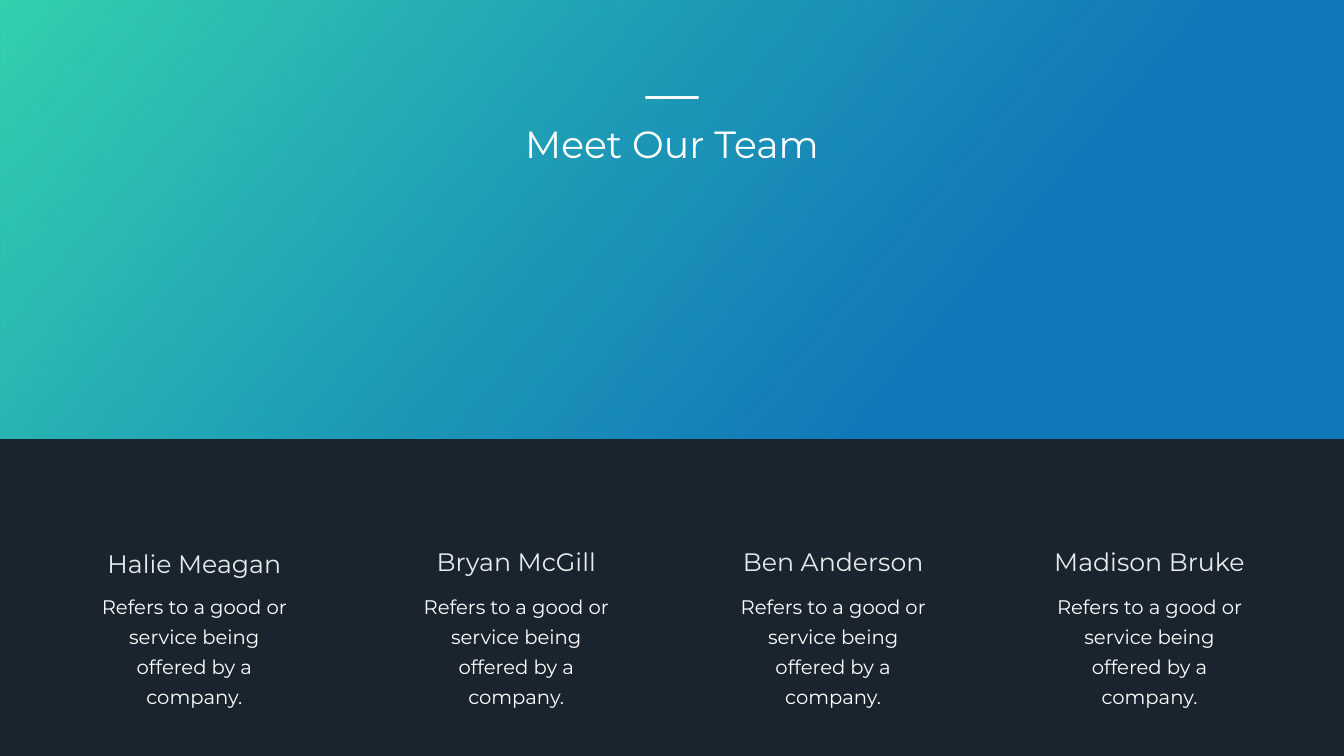
from dataclasses import dataclass

from lxml import etree
from pptx import Presentation
from pptx.dml.color import RGBColor
from pptx.enum.shapes import MSO_SHAPE
from pptx.enum.text import MSO_AUTO_SIZE, PP_ALIGN
from pptx.oxml.ns import qn
from pptx.shapes.autoshape import Shape
from pptx.slide import Slide
from pptx.text.text import _Paragraph
from pptx.util import Cm, Length, Pt


@dataclass(frozen=True)
class Theme:
    font: str = "Montserrat"
    night: RGBColor = RGBColor(0x19, 0x24, 0x2F)
    green: RGBColor = RGBColor(0x33, 0xD1, 0xAD)
    blue: RGBColor = RGBColor(0x0F, 0x8B, 0xDA)
    white: RGBColor = RGBColor(0xFF, 0xFF, 0xFF)
    mist: RGBColor = RGBColor(0xE6, 0xEC, 0xED)
    title_size: Length = Pt(54)
    name_size: Length = Pt(36)
    role_size: Length = Pt(28)
    role_leading: Length = Pt(43)


@dataclass(frozen=True)
class Member:
    name: str
    center: float
    name_top: float = 27.41


THEME = Theme()
SLIDE_WIDTH, SLIDE_HEIGHT = 67.72, 38.1
ROLE = "Refers to a good or service being offered by a company."
TEAM = [
    Member("Halie Meagan", 9.79, 27.48),
    Member("Bryan McGill", 26.01),
    Member("Ben Anderson", 41.98),
    Member("Madison Bruke", 57.92),
]


def add_bar(slide: Slide, left: float, top: float, width: float, height: float) -> Shape:
    """Add a borderless white rectangle, measured in centimetres."""
    bar = slide.shapes.add_shape(MSO_SHAPE.RECTANGLE, Cm(left), Cm(top), Cm(width), Cm(height))
    bar.shadow.inherit = False
    bar.line.fill.background()
    bar.fill.solid()
    bar.fill.fore_color.rgb = THEME.white
    return bar


def add_banner(slide: Slide) -> None:
    """Add the green to translucent blue band across the top."""
    banner = add_bar(slide, 0, 0, SLIDE_WIDTH, 22.12)
    banner.fill.gradient()
    banner.fill.gradient_angle = 320
    start, end = banner.fill.gradient_stops
    start.position, start.color.rgb = 0, THEME.green
    end.position, end.color.rgb = 0.73, THEME.blue
    blue_stop = banner.element.spPr.findall(".//" + qn("a:srgbClr"))[-1]
    etree.SubElement(blue_stop, qn("a:alpha"), val="80000")


def add_label(slide: Slide, text: str, center: float, top: float, width: float, height: float,
              size: Length, color: RGBColor, wrap: bool = True,
              insets: tuple[float, float] = (0.25, 0.13)) -> _Paragraph:
    """Add centred text around a vertical axis and return its paragraph."""
    label = slide.shapes.add_textbox(Cm(center - width / 2), Cm(top), Cm(width), Cm(height))
    frame = label.text_frame
    frame.word_wrap = wrap
    frame.auto_size = MSO_AUTO_SIZE.SHAPE_TO_FIT_TEXT
    frame.margin_left = frame.margin_right = Cm(insets[0])
    frame.margin_top = frame.margin_bottom = Cm(insets[1])
    paragraph = frame.paragraphs[0]
    paragraph.text = text
    paragraph.alignment = PP_ALIGN.CENTER
    paragraph.font.name = THEME.font
    paragraph.font.size = size
    paragraph.font.color.rgb = color
    return paragraph


def add_member(slide: Slide, member: Member) -> None:
    """Add a team member's name with the role below it."""
    add_label(slide, member.name, member.center, member.name_top, 10.4, 1.8,
              THEME.name_size, THEME.mist)
    role = add_label(slide, ROLE, member.center, 29.34, 11.46, 5.08,
                     THEME.role_size, THEME.white, insets=(0.61, 0.3))
    role.line_spacing = THEME.role_leading


def main() -> None:
    """Build the team slide and save it."""
    deck = Presentation()
    deck.slide_width, deck.slide_height = Cm(SLIDE_WIDTH), Cm(SLIDE_HEIGHT)
    slide = deck.slides.add_slide(deck.slide_layouts[6])
    slide.background.fill.solid()
    slide.background.fill.fore_color.rgb = THEME.night

    add_banner(slide)
    middle = SLIDE_WIDTH / 2
    add_label(slide, "Meet Our Team", middle, 5.94, 15.57, 2.57,
              THEME.title_size, THEME.white, wrap=False)
    rule_width = 2.69
    add_bar(slide, middle - rule_width / 2, 4.85, rule_width, 0.13)
    for member in TEAM:
        add_member(slide, member)
    deck.save("out.pptx")


if __name__ == "__main__":
    main()
